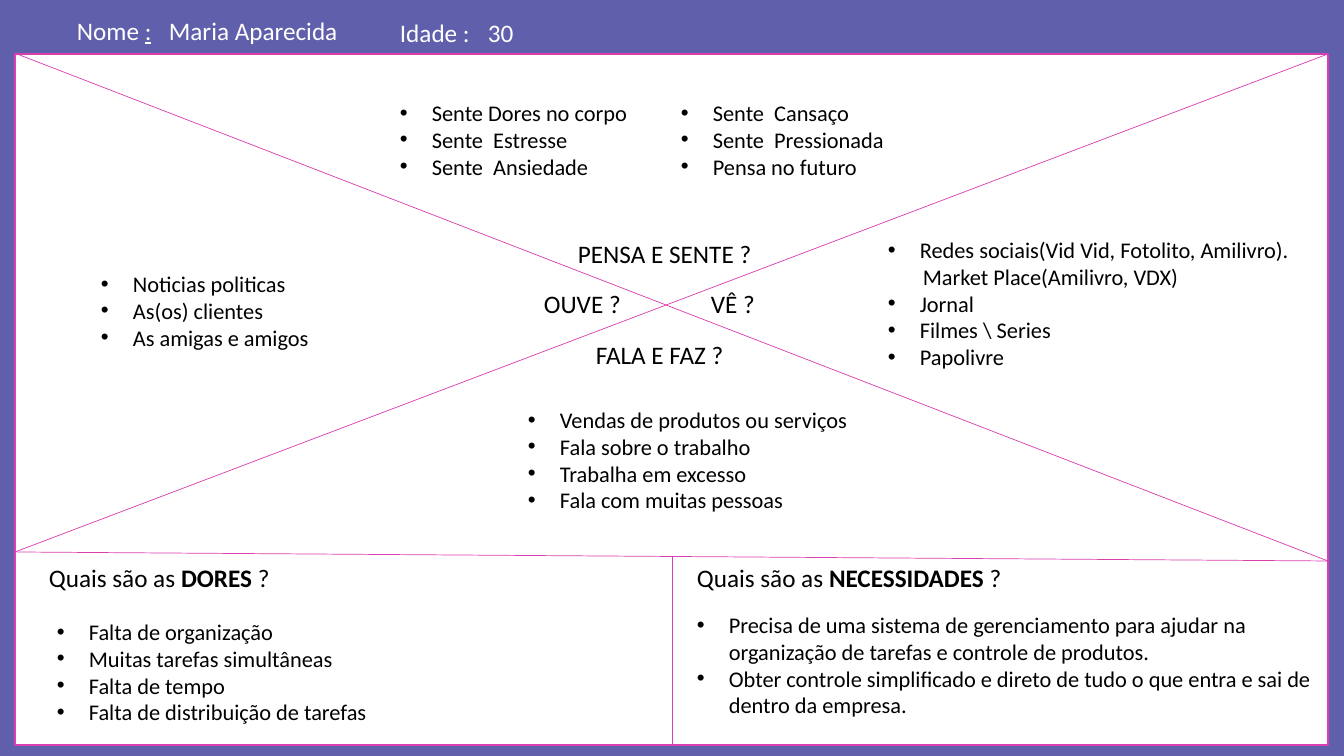
from lxml import etree
from pptx import Presentation
from pptx.dml.color import RGBColor
from pptx.enum.shapes import MSO_CONNECTOR, MSO_SHAPE
from pptx.enum.text import MSO_ANCHOR, PP_ALIGN
from pptx.oxml.ns import qn
from pptx.util import Emu, Pt

RECTANGLE = MSO_SHAPE.RECTANGLE
STRAIGHT = MSO_CONNECTOR.STRAIGHT
TOP = MSO_ANCHOR.TOP
LEFT = PP_ALIGN.LEFT
EMU_PER_PX = 914400 / 100.8
WHITE, BLACK, PURPLE, PINK = "FFFFFF", "000000", "605FAB", "DB3EAF"


def px(length):
    """Turn pixels into EMU."""
    return Emu(round(length * EMU_PER_PX))


def color(code):
    """Turn a hex string into a colour."""
    return RGBColor.from_string(code)


def add_span(para, text, size=18, fill=BLACK, font="Calibri", bold=False, underline=False):
    """Append formatted text to a paragraph."""
    span = para.add_run()
    span.text = text
    span.font.name = font
    span.font.size = Pt(size)
    span.font.bold = bold
    span.font.underline = underline
    span.font.color.rgb = color(fill)


class EmpathyMap:
    """Draws the elements of an empathy map on one slide."""

    bullet_indent = 32

    def __init__(self, slide):
        """Keep the slide and paint its background."""
        self.slide = slide
        slide.background.fill.solid()
        slide.background.fill.fore_color.rgb = color("F2F2F2")

    def panel(self, left, top, width, height, fill, line):
        """Add a filled rectangle."""
        shape = self.slide.shapes.add_shape(RECTANGLE, px(left), px(top), px(width), px(height))
        shape.shadow.inherit = False
        shape.fill.solid()
        shape.fill.fore_color.rgb = color(fill)
        shape.line.color.rgb = color(line)
        shape.line.width = Pt(1)

    def divider(self, x1, y1, x2, y2):
        """Add a thin pink line."""
        line = self.slide.shapes.add_connector(STRAIGHT, px(x1), px(y1), px(x2), px(y2))
        line.line.color.rgb = color(PINK)
        line.line.width = Pt(0.5)
        etree.SubElement(line._element.spPr, qn("a:effectLst"))

    def text_frame(self, left, top, width, height):
        """Add a wrapping text box and return its frame."""
        box = self.slide.shapes.add_textbox(px(left), px(top), px(width), px(height))
        box.text_frame.word_wrap = True
        box.text_frame.vertical_anchor = TOP
        return box.text_frame

    def heading(self, left, top, width, spans, fill=BLACK, tab=None):
        """Add one line of text made of (text, format) spans."""
        para = self.text_frame(left, top, width, 40).paragraphs[0]
        para.alignment = LEFT
        if tab:
            stops = etree.SubElement(para._p.get_or_add_pPr(), qn("a:tabLst"))
            etree.SubElement(stops, qn("a:tab"), pos=str(px(tab)), algn="l")
        for text, style in spans:
            add_span(para, text, fill=fill, **style)

    def bullets(self, left, top, width, height, items, plain=()):
        """Add a bulleted list, with the items in plain left unmarked."""
        frame = self.text_frame(left, top, width, height)
        for number, item in enumerate(items):
            para = frame.add_paragraph() if number else frame.paragraphs[0]
            para.alignment = LEFT
            properties = para._p.get_or_add_pPr()
            if item in plain:
                properties.set("marL", str(px(self.bullet_indent + 3)))
            else:
                properties.set("marL", str(px(self.bullet_indent)))
                properties.set("indent", str(-px(self.bullet_indent)))
                etree.SubElement(properties, qn("a:buFont"), typeface="Arial")
                etree.SubElement(properties, qn("a:buChar"), char="•")
            add_span(para, item, size=16)


def main():
    """Build the deck and save it."""
    deck = Presentation()
    deck.slide_width, deck.slide_height = px(1344), px(756)
    page = EmpathyMap(deck.slides.add_slide(deck.slide_layouts[6]))

    page.panel(0, 0, 1355, 756, PURPLE, PURPLE)
    name = [("Nome ", {}), (":", {"underline": True}), ("\tMaria Aparecida", {})]
    page.heading(67, 10, 298, name, fill=WHITE, tab=92)
    page.heading(390, 12, 198, [("Idade :\t30", {})], fill=WHITE, tab=88)

    page.panel(15, 54, 1313, 691, WHITE, PINK)
    for ends in [(15, 552, 1328, 54), (17, 54, 1328, 561),
                 (17, 552, 1330, 561), (672, 557, 672, 746)]:
        page.divider(*ends)

    for left, width, topic in [(39, 280, "DORES "), (687, 402, "NECESSIDADES ")]:
        spans = [("Quais são as ", {}), (topic, {"bold": True}), ("?", {})]
        page.heading(left, 557, width, spans)

    for left, top, width, question in [
        (568, 233, 226, "PENSA E SENTE ?"),
        (701, 283, 75, "VÊ ?"),
        (534, 283, 111, "OUVE ?"),
        (586, 334, 175, "FALA E FAZ ?"),
    ]:
        page.heading(left, top, width, [(question, {})])

    market = "Market Place(Amilivro, VDX)"
    page.bullets(878, 231, 451, 228, [
        "Redes sociais(Vid Vid, Fotolito, Amilivro).", market,
        "Jornal", "Filmes \\ Series", "Papolivre"], plain=[market])
    page.bullets(91, 265, 350, 146, [
        "Noticias politicas", "As(os) clientes", "As amigas e amigos"])
    page.bullets(390, 94, 316, 92, [
        "Sente Dores no corpo", "Sente  Estresse", "Sente  Ansiedade"])
    page.bullets(671, 94, 316, 92, [
        "Sente  Cansaço", "Sente  Pressionada", "Pensa no futuro"])
    page.bullets(518, 401, 438, 146, [
        "Vendas de produtos ou serviços", "Fala sobre o trabalho",
        "Trabalha em excesso", "Fala com muitas pessoas"])
    page.bullets(47, 613, 438, 119, [
        "Falta de organização", "Muitas tarefas simultâneas",
        "Falta de tempo", "Falta de distribuição de tarefas"])
    page.bullets(687, 606, 640, 119, [
        "Precisa de uma sistema de gerenciamento para ajudar na "
        "organização de tarefas e controle de produtos.",
        "Obter controle simplificado e direto de tudo o que entra e sai de "
        "dentro da empresa."])

    deck.save("out.pptx")


if __name__ == "__main__":
    main()
